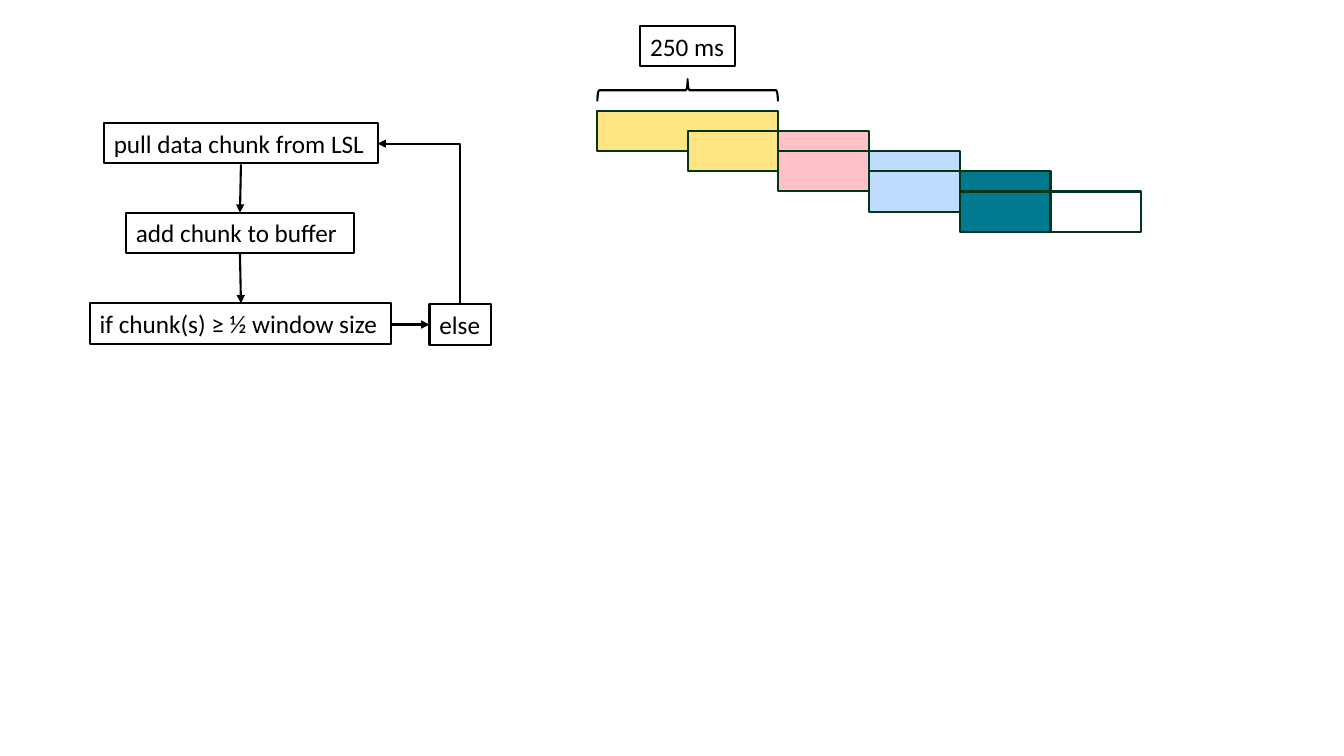
from dataclasses import dataclass

from lxml import etree
from pptx import Presentation
from pptx.dml.color import RGBColor
from pptx.enum.shapes import MSO_CONNECTOR, MSO_SHAPE
from pptx.enum.text import MSO_ANCHOR, PP_ALIGN
from pptx.oxml.ns import qn
from pptx.util import Inches, Pt

RECTANGLE, BRACE = MSO_SHAPE.RECTANGLE, MSO_SHAPE.LEFT_BRACE
STRAIGHT, ELBOW = MSO_CONNECTOR.STRAIGHT, MSO_CONNECTOR.ELBOW
LEFT, MIDDLE = PP_ALIGN.LEFT, MSO_ANCHOR.MIDDLE

COLORS = {
    "black": "000000",
    "outline": "003519",
    "yellow": "FFE482",
    "pink": "FFC0C8",
    "blue": "BFDCFF",
    "teal": "00788E",
    "white": "FFFFFF",
}
FONT = "Calibri"
LINE_WIDTH = 1.5
BOX_HEIGHT = 0.4

# Sliding windows: each moves on by half a window and one step down
WINDOW_LEFT, WINDOW_TOP = 5.92, 1.1
HALF_WINDOW, STEP_DOWN = 0.9, 0.2


@dataclass(frozen=True)
class Label:
    text: str
    left: float
    top: float
    width: float


@dataclass(frozen=True)
class Arrow:
    x1: float
    y1: float
    x2: float
    y2: float


LABELS = [
    Label("pull data chunk from LSL", 1.03, 1.22, 2.72),
    Label("add chunk to buffer", 1.25, 2.11, 2.26),
    Label("if chunk(s) ≥ ½ window size", 0.89, 3.01, 2.99),
    Label("else", 4.26, 3.02, 0.61),
    Label("250 ms", 6.35, 0.26, 0.94),
]
ARROWS = [
    Arrow(2.39, 1.63, 2.38, 2.11),
    Arrow(2.38, 2.52, 2.39, 3.01),
    Arrow(3.88, 3.22, 4.26, 3.22),
]
LOOP_BACK = Arrow(3.36, 2.63, 4.95, 1.81)  # before its quarter turn


def rgb(name: str) -> RGBColor:
    return RGBColor.from_string(COLORS[name])


def add_outlined(slide, kind, left: float, top: float, width: float,
                 height: float, line: str, fill: str = ""):
    shape = slide.shapes.add_shape(
        kind, Inches(left), Inches(top), Inches(width), Inches(height))
    shape.shadow.inherit = False
    if fill:
        shape.fill.solid()
        shape.fill.fore_color.rgb = rgb(fill)
    else:
        shape.fill.background()
    shape.line.color.rgb = rgb(line)
    shape.line.width = Pt(LINE_WIDTH)
    return shape


def add_label(slide, label: Label) -> None:
    box = add_outlined(slide, RECTANGLE, label.left, label.top, label.width,
                       BOX_HEIGHT, "black")
    frame = box.text_frame
    frame.text = label.text
    frame.word_wrap = True
    frame.margin_right = 0
    frame.vertical_anchor = MIDDLE
    paragraph = frame.paragraphs[0]
    paragraph.alignment = LEFT
    font = paragraph.runs[0].font
    font.name = FONT
    font.size = Pt(18)
    font.color.rgb = rgb("black")


def add_arrow(slide, kind, arrow: Arrow):
    connector = slide.shapes.add_connector(
        kind, Inches(arrow.x1), Inches(arrow.y1),
        Inches(arrow.x2), Inches(arrow.y2))
    connector.line.color.rgb = rgb("black")
    connector.line.width = Pt(LINE_WIDTH)
    properties = connector._element.spPr
    etree.SubElement(properties.find(qn("a:ln")), qn("a:tailEnd"),
                     type="triangle")
    etree.SubElement(properties, qn("a:effectLst"))
    return connector


def add_loop_back(slide) -> None:
    properties = add_arrow(slide, ELBOW, LOOP_BACK)._element.spPr
    properties.find(qn("a:prstGeom")).set("prst", "bentConnector2")
    properties.find(qn("a:xfrm")).set("rot", str(270 * 60000))


def add_window_half(slide, column: int, row: int, fill: str,
                    halves: int = 1) -> None:
    add_outlined(slide, RECTANGLE, WINDOW_LEFT + column * HALF_WINDOW,
                 WINDOW_TOP + row * STEP_DOWN, halves * HALF_WINDOW,
                 BOX_HEIGHT, "outline", fill)


def main() -> None:
    presentation = Presentation()
    presentation.slide_width = Inches(13.33)
    presentation.slide_height = Inches(7.5)
    slide = presentation.slides.add_slide(presentation.slide_layouts[6])

    # Buffer loop and window length label
    for label in LABELS:
        add_label(slide, label)
    for arrow in ARROWS:
        add_arrow(slide, STRAIGHT, arrow)
    add_loop_back(slide)

    # Overlapping windows: first one whole, then new halves, then reused halves
    add_window_half(slide, 0, 0, "yellow", halves=2)
    for row, fill in enumerate(["pink", "blue", "teal", "white"], start=1):
        add_window_half(slide, row + 1, row, fill)
    for row, fill in enumerate(["yellow", "pink", "blue", "teal"], start=1):
        add_window_half(slide, row, row, fill)

    # Brace over the first window
    brace = add_outlined(slide, BRACE, 6.71, 0, 0.22, 1.79, "black")
    brace.rotation = 90

    presentation.save("out.pptx")


if __name__ == "__main__":
    main()
